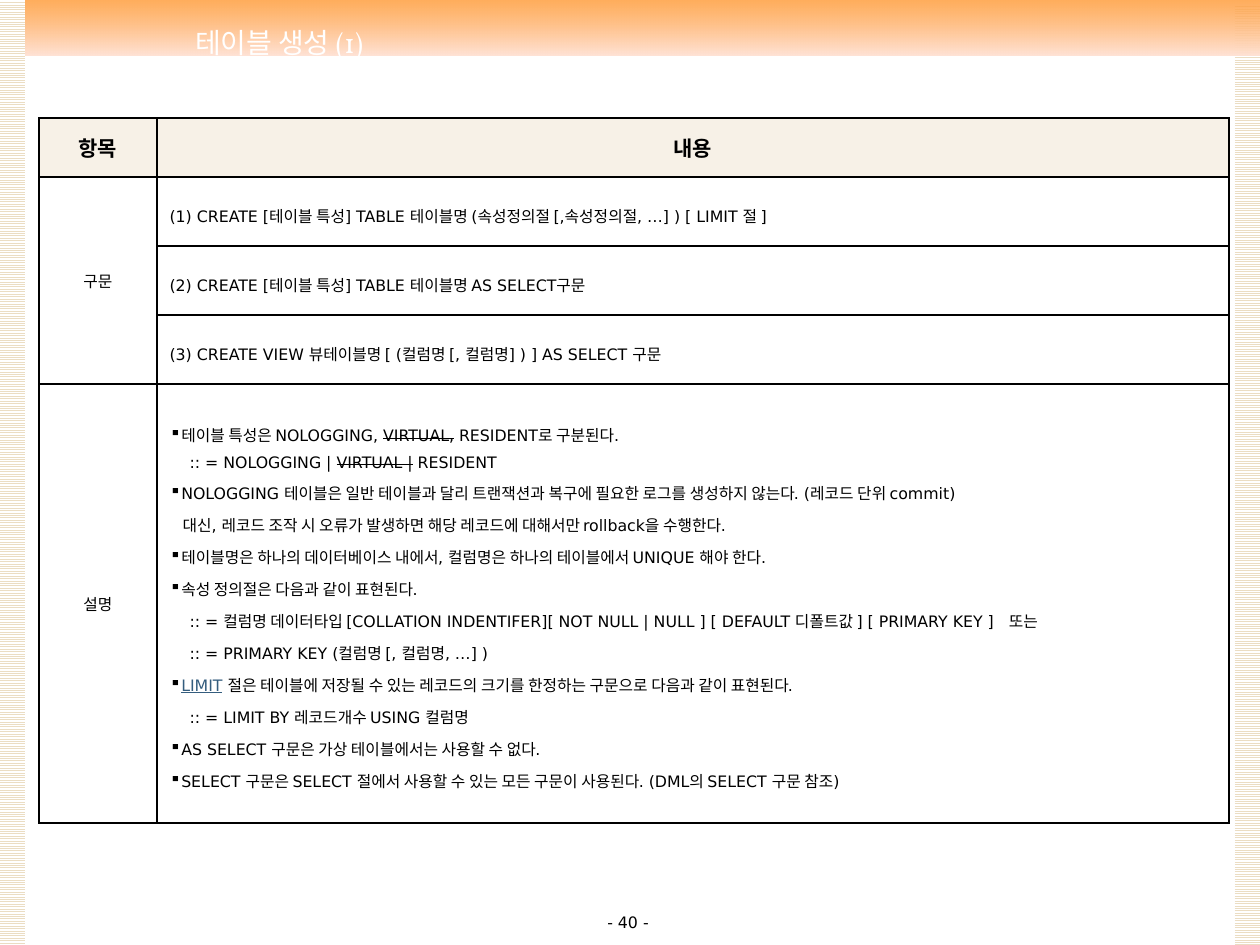
from lxml.etree import SubElement
from pptx import Presentation
from pptx.dml.color import RGBColor
from pptx.enum.dml import MSO_PATTERN_TYPE as Pattern
from pptx.enum.shapes import MSO_SHAPE as Shape
from pptx.enum.text import MSO_ANCHOR as Anchor, PP_ALIGN as Align
from pptx.oxml.ns import qn
from pptx.util import Emu, Pt

BLACK = RGBColor(0x00, 0x00, 0x00)
WHITE = RGBColor(0xFF, 0xFF, 0xFF)
ORANGE = RGBColor(0xFF, 0x99, 0x33)
PEACH = RGBColor(0xFF, 0xE3, 0xD6)
SAND = RGBColor(0xEB, 0xDD, 0xC3)
CREAM = RGBColor(0xF7, 0xF1, 0xE7)
LINK_BLUE = RGBColor(0x34, 0x5D, 0x7E)
BODY_FONT = "DejaVu Sans"
TITLE_FONT = "Vollkorn"

BULLET, CONTINUED, GRAMMAR = (10, -10), (13, 0), (20, 0)
COLUMN_WIDTHS = [118, 1072]
ROW_HEIGHTS = [59, 69, 69, 69, 439]
HEADINGS = ["항목", "내용"]
SYNTAX = [
    "(1) CREATE [테이블 특성] TABLE 테이블명 (속성정의절 [,속성정의절, …] ) [ LIMIT 절 ]",
    "(2) CREATE [테이블 특성] TABLE 테이블명 AS SELECT구문",
    "(3) CREATE VIEW 뷰테이블명 [ (컬럼명 [, 컬럼명] ) ] AS SELECT 구문",
]
DESCRIPTION = [
    (BULLET, [("테이블 특성은 NOLOGGING, ", ""), ("VIRTUAL,", "strike"), (" RESIDENT로 구분된다.", "")]),
    (GRAMMAR, [(":: = NOLOGGING | ", ""), ("VIRTUAL |", "strike"), (" RESIDENT", "")]),
    (BULLET, [("NOLOGGING 테이블은 일반 테이블과 달리 트랜잭션과 복구에 필요한 로그를 생성하지 않는다. (레코드 단위 commit)", "")]),
    (CONTINUED, [("대신, 레코드 조작 시 오류가 발생하면 해당 레코드에 대해서만 rollback을 수행한다.", "")]),
    (BULLET, [("테이블명은 하나의 데이터베이스 내에서, 컬럼명은 하나의 테이블에서 UNIQUE 해야 한다.", "")]),
    (BULLET, [("속성 정의절은 다음과 같이 표현된다.", "")]),
    (GRAMMAR, [(":: = 컬럼명 데이터타입 [COLLATION INDENTIFER][ NOT NULL | NULL ] [ DEFAULT 디폴트값 ] [ PRIMARY KEY ]   또는", "")]),
    (GRAMMAR, [(":: = PRIMARY KEY (컬럼명 [, 컬럼명, …] )", "")]),
    (BULLET, [("LIMIT", "link"), (" 절은 테이블에 저장될 수 있는 레코드의 크기를 한정하는 구문으로 다음과 같이 표현된다.", "")]),
    (GRAMMAR, [(":: = LIMIT BY 레코드개수 USING 컬럼명", "")]),
    (BULLET, [("AS SELECT 구문은 가상 테이블에서는 사용할 수 없다.", "")]),
    (BULLET, [("SELECT 구문은 SELECT 절에서 사용할 수 있는 모든 구문이 사용된다. (DML의 SELECT 구문 참조)", "")]),
]


def px(length):
    """Turn pixels into EMU."""
    return Emu(round(length * 914400 / 126))


def add_run(paragraph, text, size=9, color=BLACK, font_name=BODY_FONT, bold=False, mark=""):
    """Add one formatted run, optionally struck through or marked as a link."""
    run = paragraph.add_run()
    run.text = text
    font = run.font
    font.name, font.size, font.bold = font_name, Pt(size), bold
    font.color.rgb = LINK_BLUE if mark == "link" else color
    if mark == "link":
        font.underline = True
    elif mark == "strike":
        run._r.get_or_add_rPr().set("strike", "sngStrike")


def add_rectangle(slide, left, top, width, height):
    """Add a plain rectangle without line or shadow."""
    shape = slide.shapes.add_shape(Shape.RECTANGLE, *map(px, (left, top, width, height)))
    shape.shadow.inherit = False
    shape.line.fill.background()
    return shape


def add_side_strip(slide, left, top, width, height):
    """Add a strip of fine horizontal lines."""
    fill = add_rectangle(slide, left, top, width, height).fill
    fill.patterned()
    fill.pattern = Pattern.LIGHT_HORIZONTAL
    fill.fore_color.rgb = SAND
    fill.back_color.rgb = WHITE


def add_banner(slide):
    """Add the title band with its downward gradient."""
    shape = add_rectangle(slide, -1, 0, 1262, 56)
    shape.fill.gradient()
    shape.fill.gradient_angle = 270
    for stop, color, position in zip(shape.fill.gradient_stops, (ORANGE, PEACH), (0, 1)):
        stop.color.rgb = color
        stop.position = position
    first_color = next(shape._element.iter(qn("a:srgbClr")))
    SubElement(first_color, qn("a:alpha"), val="80000")


def add_label(slide, left, top, width, height, text, **style):
    """Add a centred one-line text box."""
    frame = slide.shapes.add_textbox(*map(px, (left, top, width, height))).text_frame
    frame.word_wrap = True
    frame.vertical_anchor = Anchor.MIDDLE
    frame.margin_top = frame.margin_bottom = 0
    paragraph = frame.paragraphs[0]
    paragraph.alignment = Align.CENTER
    add_run(paragraph, text, **style)


def format_cell(cell, color):
    """Give a cell thin black borders, a fill and middle anchoring."""
    properties = cell._tc.get_or_add_tcPr()
    for side in ("lnL", "lnR", "lnT", "lnB"):
        line = SubElement(properties, qn(f"a:{side}"), w=str(Pt(1)))
        SubElement(SubElement(line, qn("a:solidFill")), qn("a:srgbClr"), val=str(BLACK))
    cell.fill.solid()
    cell.fill.fore_color.rgb = color
    cell.vertical_anchor = Anchor.MIDDLE


def write_centred(cell, text, **style):
    """Write a centred heading or row name."""
    paragraph = cell.text_frame.paragraphs[0]
    paragraph.alignment = Align.CENTER
    add_run(paragraph, text, **style)


def write_description(cell):
    """Write the bulleted rules and their indented grammar lines."""
    frame = cell.text_frame
    for index, (level, runs) in enumerate(DESCRIPTION):
        paragraph = frame.add_paragraph() if index else frame.paragraphs[0]
        paragraph.line_spacing = 1.4
        properties = paragraph._p.get_or_add_pPr()
        margin, indent = level
        properties.set("marL", str(px(margin)))
        properties.set("indent", str(px(indent)))
        if level is BULLET:
            bullet_color = SubElement(properties, qn("a:buClr"))
            SubElement(bullet_color, qn("a:srgbClr"), val=str(BLACK))
            SubElement(properties, qn("a:buChar"), char="▪")
        for text, mark in runs:
            add_run(paragraph, text, mark=mark)


def add_syntax_table(slide):
    """Add the table of syntax forms and their description."""
    frame = slide.shapes.add_table(
        len(ROW_HEIGHTS), len(COLUMN_WIDTHS), px(39), px(118),
        px(sum(COLUMN_WIDTHS)), px(sum(ROW_HEIGHTS)))
    table = frame.table
    table.first_row = table.horz_banding = False
    for column, width in zip(table.columns, COLUMN_WIDTHS):
        column.width = px(width)
    for index, (row, height) in enumerate(zip(table.rows, ROW_HEIGHTS)):
        row.height = px(height)
        for cell in row.cells:
            format_cell(cell, WHITE if index else CREAM)
    table.cell(1, 0).merge(table.cell(len(SYNTAX), 0))
    for index, heading in enumerate(HEADINGS):
        write_centred(table.cell(0, index), heading, size=12, bold=True)
    write_centred(table.cell(1, 0), "구문")
    for index, text in enumerate(SYNTAX, 1):
        paragraph = table.cell(index, 1).text_frame.paragraphs[0]
        paragraph.line_spacing = 1.4
        add_run(paragraph, text)
    last_row = len(ROW_HEIGHTS) - 1
    write_centred(table.cell(last_row, 0), "설명")
    write_description(table.cell(last_row, 1))


def main():
    """Build and save the slide."""
    presentation = Presentation()
    presentation.slide_width, presentation.slide_height = px(1260), px(945)
    slide = presentation.slides.add_slide(presentation.slide_layouts[6])
    add_side_strip(slide, 1235, 4, 26, 941)
    add_banner(slide)
    add_side_strip(slide, -1, 0, 26, 945)
    add_label(slide, 481, 910, 294, 24, "- 40 -")
    add_label(slide, 35, 20, 488, 45, "테이블 생성 (1)", size=16, color=WHITE, font_name=TITLE_FONT)
    add_syntax_table(slide)
    presentation.save("out.pptx")


if __name__ == "__main__":
    main()
